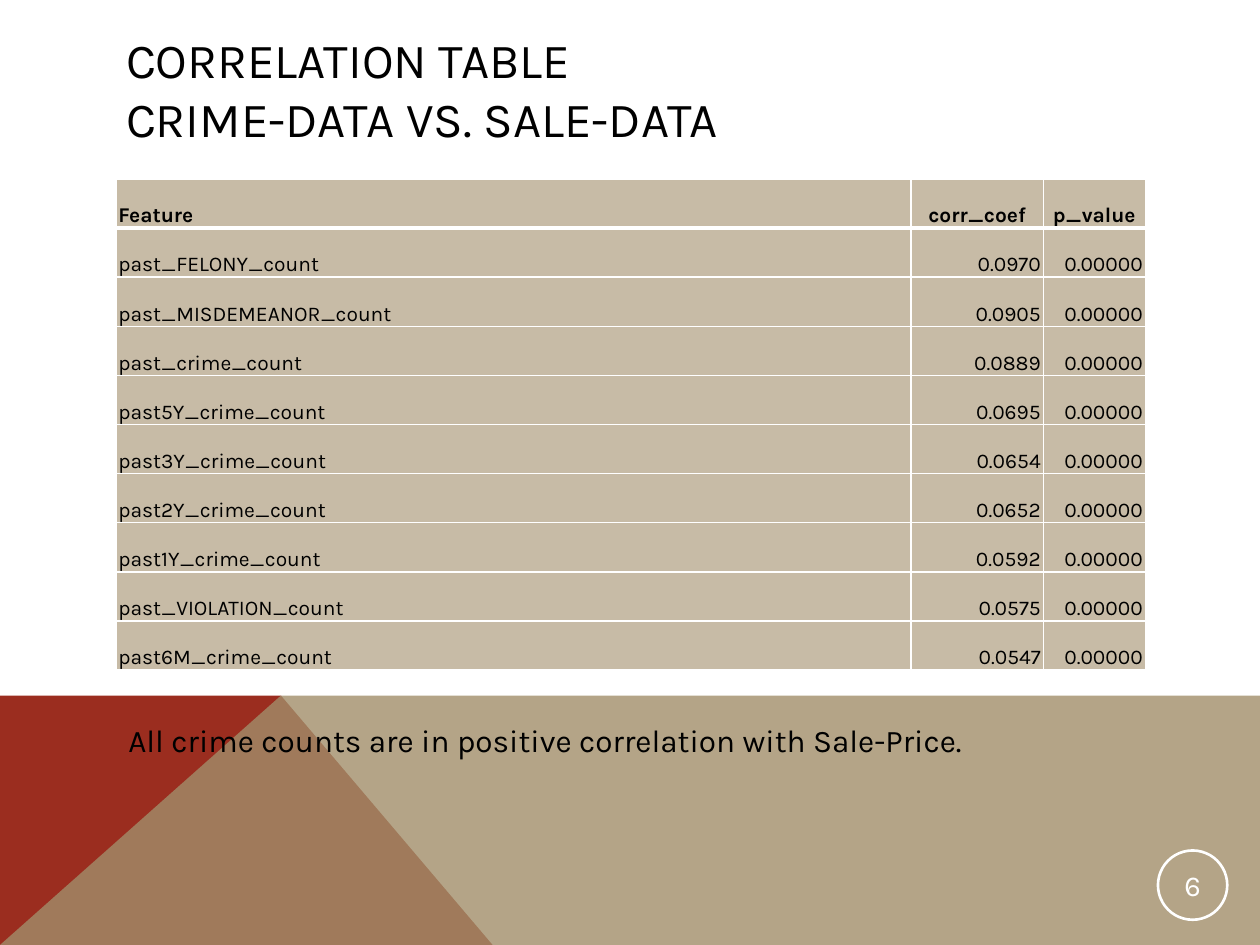
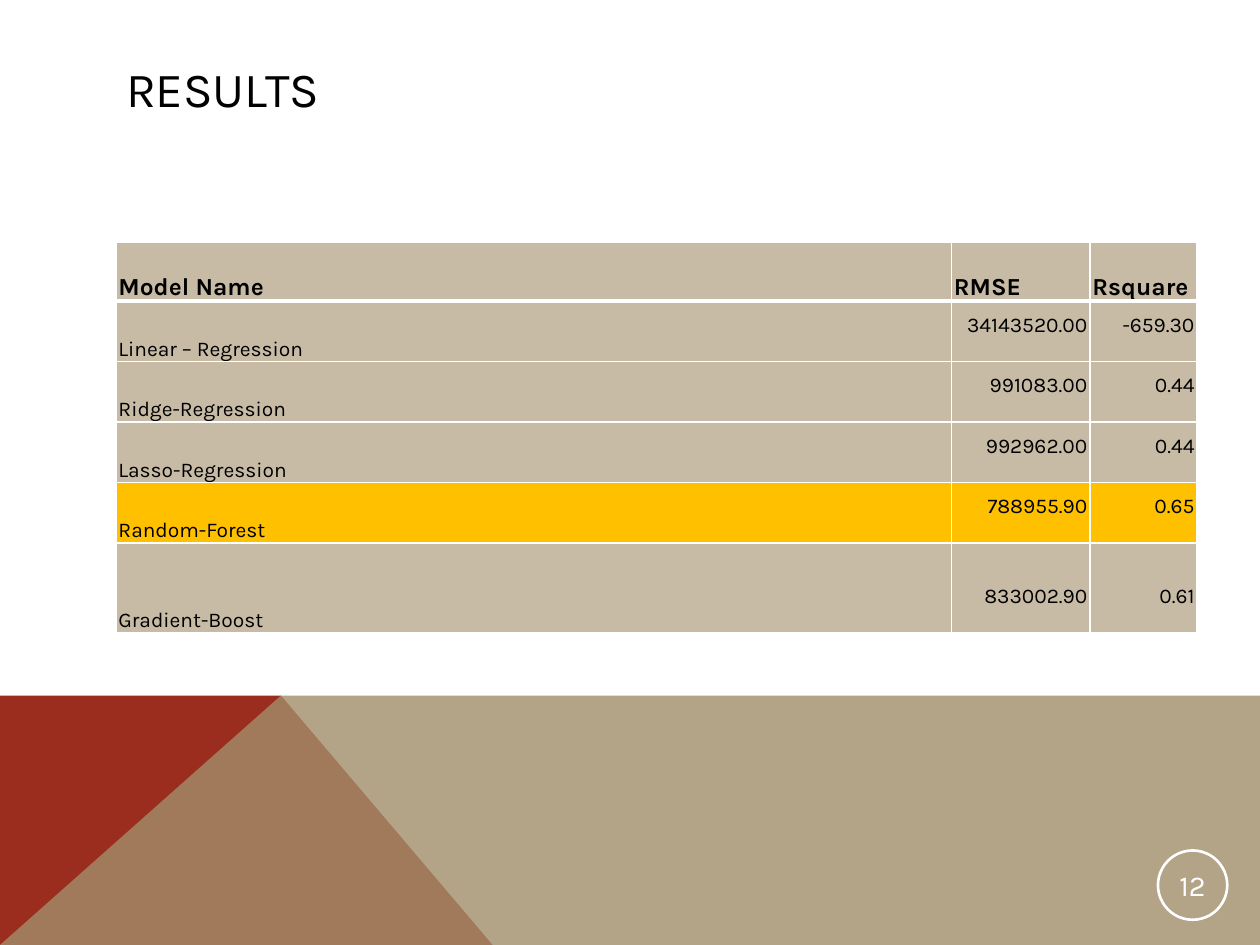
from dataclasses import dataclass

from lxml.etree import SubElement
from pptx import Presentation
from pptx.dml.color import RGBColor
from pptx.enum.shapes import MSO_SHAPE as Preset
from pptx.enum.text import MSO_ANCHOR as Anchor, MSO_AUTO_SIZE as AutoSize, PP_ALIGN as Align
from pptx.oxml import parse_xml
from pptx.oxml.ns import nsdecls, qn
from pptx.util import Inches, Pt

FONT = "Karla"
BLACK = "000000"
WHITE = "FFFFFF"
RED = "9B2D1F"
TAN = "A28E6A"
CELL_TAN = "C7BBA6"
HIGHLIGHT = "FFC000"

BAND_TOP, PEAK_X = 5.52, 2.23
TITLE_ONLY = 5


@dataclass
class Band:
    points: list[tuple[float, float]]
    color: str
    opacity: int = 100


@dataclass
class TableSpec:
    left: float
    top: float
    column_widths: list[float]
    row_heights: list[float]
    rows: list[list[str]]
    header_size: int
    header_aligns: list[Align]
    highlighted_row: int | None = None
    number_lift: float = 0  # space below the numbers in body cells


BANDS = [
    Band([(0, 7.5), (0, BAND_TOP), (PEAK_X, BAND_TOP), (3.91, 7.5)], RED),
    Band([(0, 7.5), (PEAK_X, BAND_TOP), (10, BAND_TOP), (10, 7.5)], TAN, 80),
]

CORRELATIONS = [
    ("past_FELONY_count", "0.0970"),
    ("past_MISDEMEANOR_count", "0.0905"),
    ("past_crime_count", "0.0889"),
    ("past5Y_crime_count", "0.0695"),
    ("past3Y_crime_count", "0.0654"),
    ("past2Y_crime_count", "0.0652"),
    ("past1Y_crime_count", "0.0592"),
    ("past_VIOLATION_count", "0.0575"),
    ("past6M_crime_count", "0.0547"),
]

CORRELATION_TABLE = TableSpec(
    0.92, 1.42, [6.31, 1.05, 0.81], [0.39] * 10,
    [["Feature", "corr_coef", "p_value"]]
    + [[feature, coefficient, "0.00000"] for feature, coefficient in CORRELATIONS],
    header_size=12,
    header_aligns=[Align.LEFT, Align.CENTER, Align.CENTER],
)

RESULTS_TABLE = TableSpec(
    0.92, 1.92, [6.63, 1.1, 0.85], [0.47] + [0.48] * 4 + [0.71],
    [
        ["Model Name", "RMSE", "Rsquare"],
        ["Linear – Regression", "34143520.00", "-659.30"],
        ["Ridge-Regression", "991083.00", "0.44"],
        ["Lasso-Regression", "992962.00", "0.44"],
        ["Random-Forest", "788955.90", "0.65"],
        ["Gradient-Boost", "833002.90", "0.61"],
    ],
    header_size=14,
    header_aligns=[Align.LEFT] * 3,
    highlighted_row=4,
    number_lift=0.19,
)


def rgb(color: str) -> RGBColor:
    return RGBColor.from_string(color)


def format_text(text_frame, size: float, color: str = BLACK,
                align: Align = Align.LEFT, bold: bool = False) -> None:
    for paragraph in text_frame.paragraphs:
        paragraph.alignment = align
        for run in paragraph.runs:
            run.font.name = FONT
            run.font.size = Pt(size)
            run.font.bold = bold
            run.font.color.rgb = rgb(color)


def draw_band(slide, band: Band) -> None:
    points = [(Inches(x), Inches(y)) for x, y in band.points]
    builder = slide.shapes.build_freeform(*points[0], scale=1.0)
    builder.add_line_segments(points[1:], close=True)
    shape = builder.convert_to_shape()
    shape.shadow.inherit = False
    shape.line.fill.background()
    shape.fill.solid()
    shape.fill.fore_color.rgb = rgb(band.color)
    if band.opacity < 100:
        color_element = shape.fill._xPr.find(qn("a:solidFill"))[0]
        SubElement(color_element, qn("a:alpha"), val=str(band.opacity * 1000))


def draw_page_number(slide, number: int) -> None:
    circle = slide.shapes.add_shape(
        Preset.OVAL, Inches(9.19), Inches(6.75), Inches(0.55), Inches(0.55))
    circle.shadow.inherit = False
    circle.fill.background()
    circle.line.color.rgb = rgb(WHITE)
    circle.line.width = Pt(1.5)
    text_frame = circle.text_frame
    text_frame.margin_left = text_frame.margin_right = Inches(0.01)
    text_frame.margin_top = text_frame.margin_bottom = Inches(0.01)
    text_frame.vertical_anchor = Anchor.MIDDLE
    text_frame.text = str(number)
    format_text(text_frame, 16.5, WHITE, Align.CENTER)


def add_base_slide(presentation, title: str, number: int):
    slide = presentation.slides.add_slide(presentation.slide_layouts[TITLE_ONLY])
    for band in BANDS:
        draw_band(slide, band)
    shape = slide.shapes.title
    shape.left, shape.top = Inches(0.9), Inches(0.4)
    shape.width, shape.height = Inches(8.22), Inches(0.6)
    shape.text_frame.text = title
    shape.text_frame.auto_size = AutoSize.NONE
    shape.text_frame.vertical_anchor = Anchor.MIDDLE
    format_text(shape.text_frame, 28)
    draw_page_number(slide, number)
    return slide


def set_borders(cell, widths: dict[str, float]) -> None:
    properties = cell._tc.get_or_add_tcPr()
    for index, (side, width) in enumerate(widths.items()):
        properties.insert(index, parse_xml(
            f'<a:ln{side} {nsdecls("a")} w="{Pt(width)}"><a:solidFill>'
            f'<a:srgbClr val="{WHITE}"/></a:solidFill></a:ln{side}>'))


def draw_table(slide, spec: TableSpec) -> None:
    table = slide.shapes.add_table(
        len(spec.rows), len(spec.column_widths), Inches(spec.left), Inches(spec.top),
        Inches(sum(spec.column_widths)), Inches(sum(spec.row_heights))).table
    table.horz_banding = False
    for column, width in zip(table.columns, spec.column_widths):
        column.width = Inches(width)
    for row, height in zip(table.rows, spec.row_heights):
        row.height = Inches(height)

    for row_index, values in enumerate(spec.rows):
        is_header = row_index == 0
        fill = HIGHLIGHT if row_index == spec.highlighted_row else CELL_TAN
        for column_index, value in enumerate(values):
            is_number = not is_header and column_index > 0
            cell = table.cell(row_index, column_index)
            cell.fill.solid()
            cell.fill.fore_color.rgb = rgb(fill)
            cell.vertical_anchor = Anchor.BOTTOM
            cell.margin_left = cell.margin_right = Inches(0.02)
            cell.margin_top = 0
            cell.margin_bottom = Inches(spec.number_lift if is_number else 0)
            cell.text_frame.text = value
            if is_header:
                align = spec.header_aligns[column_index]
            else:
                align = Align.RIGHT if is_number else Align.LEFT
            format_text(cell.text_frame, spec.header_size if is_header else 12,
                        align=align, bold=is_header)
            set_borders(cell, {"L": 1, "R": 1, "T": 3 if row_index == 1 else 1,
                               "B": 3 if is_header else 1})


def draw_caption(slide, text: str) -> None:
    box = slide.shapes.add_textbox(Inches(0.92), Inches(5.67), Inches(8.17), Inches(0.4))
    box.text_frame.word_wrap = True
    box.text_frame.text = text
    format_text(box.text_frame, 18)


def main() -> None:
    presentation = Presentation()
    presentation.slide_width, presentation.slide_height = Inches(10), Inches(7.5)

    # Correlation slide
    slide = add_base_slide(
        presentation, "CORRELATION TABLE \vCRIME-DATA VS. SALE-DATA", 6)
    draw_table(slide, CORRELATION_TABLE)
    draw_caption(slide, "All crime counts are in positive correlation with Sale-Price.")

    # Model results slide
    slide = add_base_slide(presentation, "RESULTS", 12)
    draw_table(slide, RESULTS_TABLE)

    presentation.save("out.pptx")


if __name__ == "__main__":
    main()
